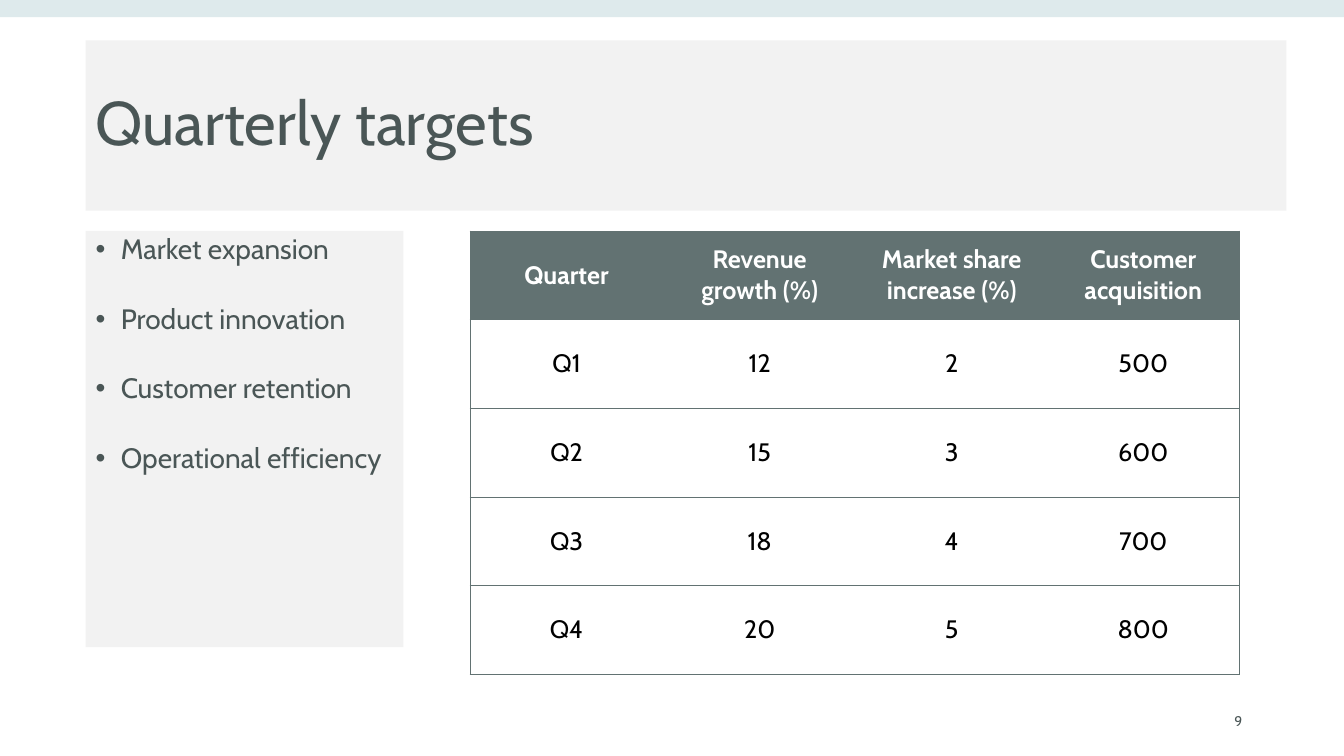
from dataclasses import dataclass

from lxml import etree
from pptx import Presentation
from pptx.dml.color import RGBColor
from pptx.enum.shapes import MSO_SHAPE
from pptx.enum.text import MSO_ANCHOR, PP_ALIGN
from pptx.oxml.ns import qn
from pptx.util import Emu, Pt

PX = 9144  # 100 px to the inch
SLIDE_WIDTH, SLIDE_HEIGHT = 1333, 750

RECTANGLE = MSO_SHAPE.RECTANGLE
TOP, MIDDLE = MSO_ANCHOR.TOP, MSO_ANCHOR.MIDDLE
LEFT, CENTER, RIGHT = PP_ALIGN.LEFT, PP_ALIGN.CENTER, PP_ALIGN.RIGHT

SLATE = RGBColor(0x4A, 0x56, 0x56)
HEADER = RGBColor(0x62, 0x72, 0x72)
PALE_BLUE = RGBColor(0xBE, 0xD6, 0xDA)
LIGHT_GREY = RGBColor(0xF2, 0xF2, 0xF2)
BLACK = RGBColor(0, 0, 0)
WHITE = RGBColor(0xFF, 0xFF, 0xFF)

FONT = "Cabin"
GOALS = ["Market expansion", "Product innovation", "Customer retention", "Operational efficiency"]
TARGETS = [
    ["Quarter", "Revenue growth (%)", "Market share increase (%)", "Customer acquisition"],
    ["Q1", "12", "2", "500"],
    ["Q2", "15", "3", "600"],
    ["Q3", "18", "4", "700"],
    ["Q4", "20", "5", "800"],
]
COLUMN_WIDTHS = [192, 191, 190, 190]
ROW_HEIGHT = 88


@dataclass(frozen=True)
class Box:
    left: int
    top: int
    width: int
    height: int

    def emu(self) -> list[Emu]:
        return [Emu(length * PX) for length in (self.left, self.top, self.width, self.height)]


@dataclass(frozen=True)
class Panel:
    box: Box
    color: RGBColor
    opacity: int = 100


@dataclass(frozen=True)
class TextStyle:
    size: int
    color: RGBColor = SLATE
    bold: bool = False
    alignment: PP_ALIGN = LEFT


TOP_BAND = Panel(Box(0, 0, SLIDE_WIDTH, 17), PALE_BLUE, 50)
TITLE_PANEL = Panel(Box(85, 40, 1191, 169), LIGHT_GREY)
GOALS_PANEL = Panel(Box(85, 229, 315, 413), BLACK, 5)
TABLE_BOX = Box(466, 229, sum(COLUMN_WIDTHS), ROW_HEIGHT * len(TARGETS))
PAGE_NUMBER_BOX = Box(942, 695, 300, 40)

TITLE_STYLE = TextStyle(44)
GOAL_STYLE = TextStyle(20)
HEADER_STYLE = TextStyle(18, WHITE, True, CENTER)
VALUE_STYLE = TextStyle(18, BLACK, False, CENTER)
PAGE_NUMBER_STYLE = TextStyle(10, alignment=RIGHT)


def set_attributes(target: object, values: dict) -> None:
    for name, value in values.items():
        setattr(target, name, value)


def add_panel(slide, panel: Panel):
    shape = slide.shapes.add_shape(RECTANGLE, *panel.box.emu())
    shape.shadow.inherit = False
    shape.line.fill.background()
    shape.fill.solid()
    shape.fill.fore_color.rgb = panel.color
    if panel.opacity < 100:
        color = shape.fill._xPr.find(f"{qn('a:solidFill')}/{qn('a:srgbClr')}")
        etree.SubElement(color, qn("a:alpha"), val=str(panel.opacity * 1000))
    return shape


def write(paragraph, text: str, style: TextStyle):
    paragraph.alignment = style.alignment
    run = paragraph.add_run()
    run.text = text
    set_attributes(run.font, {"name": FONT, "size": Pt(style.size), "bold": style.bold})
    run.font.color.rgb = style.color
    return run


def add_title(slide) -> None:
    frame = add_panel(slide, TITLE_PANEL).text_frame
    set_attributes(frame, {"word_wrap": True, "vertical_anchor": MIDDLE})
    frame.paragraphs[0].line_spacing = 0.9
    write(frame.paragraphs[0], "Quarterly targets", TITLE_STYLE)


def add_goals(slide) -> None:
    frame = add_panel(slide, GOALS_PANEL).text_frame
    set_attributes(frame, {"word_wrap": True, "vertical_anchor": TOP, "margin_right": Emu(5 * PX)})
    for index, goal in enumerate(GOALS):
        paragraph = frame.add_paragraph() if index else frame.paragraphs[0]
        properties = paragraph._p.get_or_add_pPr()
        properties.set("marL", str(25 * PX))
        properties.set("indent", str(-25 * PX))
        etree.SubElement(properties, qn("a:buFont"), typeface="Arial")
        etree.SubElement(properties, qn("a:buChar"), char="•")
        set_attributes(paragraph, {"line_spacing": 0.9, "space_after": Pt(18),
                                   "space_before": Pt(10 if index else 0)})
        write(paragraph, goal, GOAL_STYLE)


def set_border(cell, side: str, visible: bool) -> None:
    """Draw or hide one cell edge; side is L, R, T or B."""
    line = etree.SubElement(cell._tc.get_or_add_tcPr(), qn(f"a:ln{side}"), w=str(Pt(0.5)))
    if visible:
        fill = etree.SubElement(line, qn("a:solidFill"))
        etree.SubElement(fill, qn("a:srgbClr"), val=str(HEADER))
    else:
        etree.SubElement(line, qn("a:noFill"))


def add_targets_table(slide) -> None:
    table = slide.shapes.add_table(len(TARGETS), len(COLUMN_WIDTHS), *TABLE_BOX.emu()).table
    table.horz_banding = False
    for column, width in zip(table.columns, COLUMN_WIDTHS):
        column.width = Emu(width * PX)
    last_column = len(COLUMN_WIDTHS) - 1
    for row_index, values in enumerate(TARGETS):
        table.rows[row_index].height = Emu(ROW_HEIGHT * PX)
        is_header = row_index == 0
        for column_index, value in enumerate(values):
            cell = table.cell(row_index, column_index)
            edges = {"L": column_index == 0, "R": column_index == last_column, "T": True, "B": True}
            for side, visible in edges.items():
                set_border(cell, side, visible)
            if is_header:
                cell.fill.solid()
                cell.fill.fore_color.rgb = HEADER
            else:
                cell.fill.background()
            cell.vertical_anchor = MIDDLE
            write(cell.text_frame.paragraphs[0], value, HEADER_STYLE if is_header else VALUE_STYLE)


def add_page_number(slide) -> None:
    frame = slide.shapes.add_textbox(*PAGE_NUMBER_BOX.emu()).text_frame
    set_attributes(frame, {"word_wrap": True, "vertical_anchor": MIDDLE})
    run = write(frame.paragraphs[0], "9", PAGE_NUMBER_STYLE)
    run.font._element.set("spc", "150")


def main() -> None:
    presentation = Presentation()
    set_attributes(presentation, {"slide_width": Emu(SLIDE_WIDTH * PX),
                                  "slide_height": Emu(SLIDE_HEIGHT * PX)})
    slide = presentation.slides.add_slide(presentation.slide_layouts[6])
    add_panel(slide, TOP_BAND)
    add_title(slide)
    add_goals(slide)
    add_targets_table(slide)
    add_page_number(slide)
    presentation.save("out.pptx")


if __name__ == "__main__":
    main()
